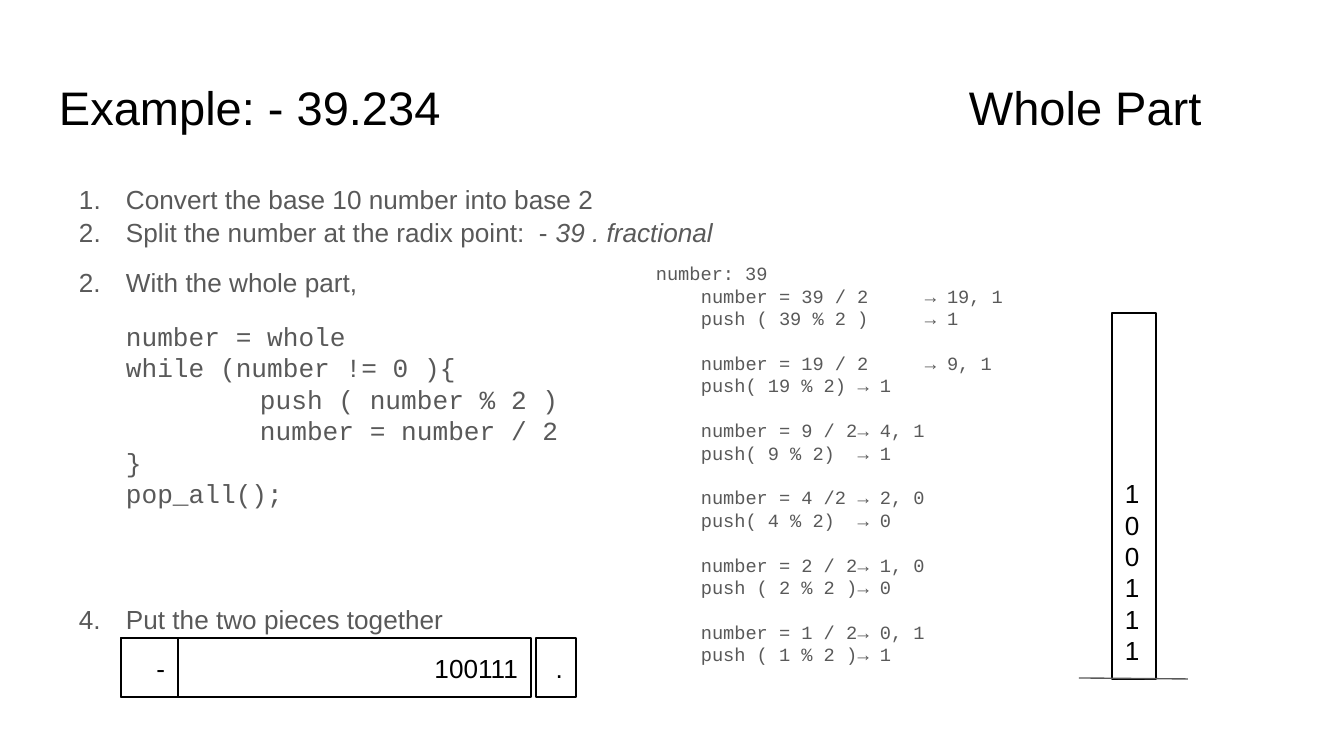
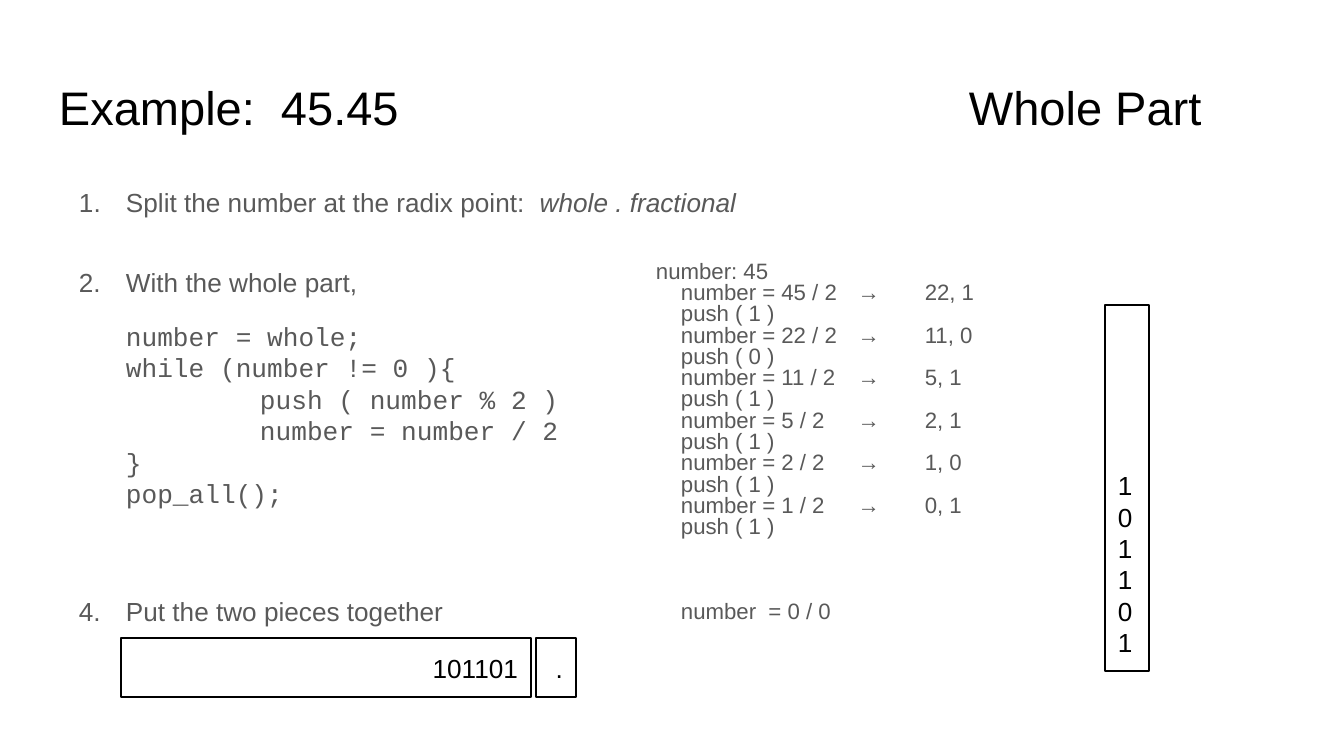
"""Build two worked examples of converting the whole part of a number to binary."""
from lxml import etree
from pptx import Presentation, util as u
from pptx.dml.color import RGBColor
from pptx.enum import shapes, text
from pptx.oxml.ns import qn

BLACK = RGBColor(0x00, 0x00, 0x00)
GREY = RGBColor(0x59, 0x59, 0x59)
SANS, MONO = "Arial", "Courier New"
PX = 914400 / 134.4
INSET = 13
TITLE_SIZE, BODY_SIZE = 25.2, 14
PARAGRAPH_GAP = 12
HANGING, NUMBER_WIDTH, CODE_INDENT = 67, 47, 201

EXAMPLES = [
    {
        "title": "Example: - 39.234\tWhole Part",
        "steps": [("Convert the base 10 number into base 2", ""),
                  ("Split the number at the radix point:  - ", "39 . fractional")],
        "step_spacing": 1.05,
        "finish_top": 589,
        "code": ["number = whole", "while (number != 0 ){", "\tpush ( number % 2 )",
                 "\tnumber = number / 2", "}", "pop_all();"],
        "trace": [
            (0, ["number = 39 / 2\t→ 19, 1", "push ( 39 % 2 )\t→ 1"]),
            (12, ["number = 19 / 2\t→ 9, 1", "push( 19 % 2)\t→ 1"]),
            (12, ["number = 9 / 2\t→ 4, 1", "push( 9 % 2)\t→ 1"]),
            (12, ["number = 4 /2\t→ 2, 0", "push( 4 % 2)\t→ 0"]),
            (12, ["number = 2 / 2\t→ 1, 0", "push ( 2 % 2 )\t→ 0"]),
            (12, ["number = 1 / 2\t→ 0, 1", "push ( 1 % 2 )\t→ 1"]),
        ],
        "trace_start": "number: 39",
        "trace_style": {"size": 10, "font": MONO, "spacing": 1.0},
        "trace_indent": 45,
        "stack_at": (1112, 313),
        "floor": (1188, 679, 1079, 678),
        "bits": "100111",
        "sign": "-",
    },
    {
        "title": "Example:  45.45\tWhole Part",
        "steps": [("Split the number at the radix point:  ", "whole . fractional")],
        "step_spacing": 1.15,
        "finish_top": 578,
        "code": ["number = whole;", "while (number != 0 ){", "\tpush ( number % 2 )",
                 "\tnumber = number / 2", "}", "pop_all();"],
        "trace": [
            (0, ["number = 45 / 2\t→\t22, 1", "push ( 1 )"]),
            (0, ["number = 22 / 2\t→\t11, 0", "push ( 0 )"]),
            (0, ["number = 11 / 2\t→\t5, 1", "push ( 1 )"]),
            (0, ["number = 5 / 2\t→\t2, 1", "push ( 1 )"]),
            (0, ["number = 2 / 2\t→\t1, 0", "push ( 1 )"]),
            (0, ["number = 1 / 2\t→\t0, 1", "push ( 1 )"]),
            (34, ["number  = 0 / 0"]),
        ],
        "trace_start": "number: 45",
        "trace_style": {"size": 11.9, "font": SANS, "spacing": 0.8},
        "trace_indent": 25,
        "stack_at": (1105, 305),
        "floor": None,
        "bits": "101101",
        "sign": None,
    },
]


def px(length):
    return u.Emu(round(length * PX))


def prepare(frame, anchor):
    frame.word_wrap = True
    frame.vertical_anchor = anchor
    frame.margin_left = frame.margin_right = px(INSET)
    frame.margin_top = frame.margin_bottom = px(INSET)


def text_box(slide, *box):
    frame = slide.shapes.add_textbox(*map(px, box)).text_frame
    prepare(frame, text.MSO_ANCHOR.TOP)
    return frame


def style(run, size, font, color):
    run.font.size = u.Pt(size)
    run.font.name = font
    run.font.color.rgb = color


def add_line(frame, words, size=BODY_SIZE, font=SANS, color=GREY, spacing=1.0, gap=0, emphasis=""):
    first = frame.paragraphs[0]
    line = frame.add_paragraph() if first.runs else first
    line.text = words
    if emphasis:
        tail = line.add_run()
        tail.text = emphasis
        tail.font.italic = True
    for run in line.runs:
        style(run, size, font, color)
    line.line_spacing = spacing
    line.space_before = u.Pt(gap)
    return line


def indent(line, margin, first=0):
    properties = line._p.get_or_add_pPr()
    properties.set("marL", str(px(margin)))
    properties.set("indent", str(px(first)))
    return properties


def number(line, start):
    properties = indent(line, HANGING, -NUMBER_WIDTH)
    tint = etree.SubElement(properties, qn("a:buClr"))
    etree.SubElement(tint, qn("a:srgbClr"), val=str(GREY))
    numbering = etree.SubElement(properties, qn("a:buAutoNum"), type="arabicPeriod")
    if start > 1:
        numbering.set("startAt", str(start))


def tab_stops(line, *stops):
    tabs = etree.SubElement(line._p.get_or_add_pPr(), qn("a:tabLst"))
    for stop in stops:
        etree.SubElement(tabs, qn("a:tab"), pos=str(px(stop)), algn="l")


def add_cell(slide, words, box, align):
    cell = slide.shapes.add_shape(shapes.MSO_SHAPE.RECTANGLE, *map(px, box))
    cell.shadow.inherit = False
    cell.fill.background()
    cell.line.color.rgb = BLACK
    cell.line.width = u.Pt(0.75)
    prepare(cell.text_frame, text.MSO_ANCHOR.BOTTOM)
    add_line(cell.text_frame, words, color=BLACK).alignment = align


def add_floor(slide, ends):
    floor = slide.shapes.add_connector(shapes.MSO_CONNECTOR.STRAIGHT, *map(px, ends))
    floor.line.color.rgb = GREY
    floor.line.width = u.Pt(0.75)
    etree.SubElement(floor._element.spPr, qn("a:effectLst"))


def add_steps(slide, example):
    spacing = example["step_spacing"]
    opening = text_box(slide, 46, 169, 1223, 100)
    for words, emphasis in example["steps"]:
        number(add_line(opening, words, spacing=spacing, emphasis=emphasis), 1)
    finish = text_box(slide, 46, example["finish_top"], 587, 60)
    number(add_line(finish, "Put the two pieces together", spacing=spacing), 4)


def add_code(slide, code):
    algorithm = text_box(slide, 46, 249, 587, 300)
    number(add_line(algorithm, "With the whole part,", spacing=1.15), 2)
    for row, words in enumerate(code):
        line = add_line(algorithm, words.strip(), font=MONO, gap=0 if row else PARAGRAPH_GAP)
        indent(line, CODE_INDENT if words.startswith("\t") else HANGING)


def add_trace(slide, example):
    trace = text_box(slide, 643, 249, 450, 430)
    look = example["trace_style"]
    add_line(trace, example["trace_start"], **look)
    for gap, group in example["trace"]:
        for row, words in enumerate(group):
            line = add_line(trace, words, gap=0 if row else gap, **look)
            indent(line, 0, example["trace_indent"])
            tab_stops(line, 269, 304)


def add_result(slide, example):
    bits, right = example["bits"], text.PP_ALIGN.RIGHT
    add_cell(slide, bits, (*example["stack_at"], 44, 366), text.PP_ALIGN.LEFT)
    if example["floor"]:
        add_floor(slide, example["floor"])
    parts = [(bits, 121, 410), (".", 536, 40)]
    if example["sign"]:
        parts.append((example["sign"], 121, 57))
    for words, left, width in parts:
        add_cell(slide, words, (left, 638, width, 59), right)


def main():
    deck = Presentation()
    deck.slide_width, deck.slide_height = px(1344), px(756)
    for example in EXAMPLES:
        slide = deck.slides.add_slide(deck.slide_layouts[6])
        title = add_line(text_box(slide, 46, 66, 1253, 84), example["title"], TITLE_SIZE, color=BLACK)
        tab_stops(title, 910)
        add_steps(slide, example)
        add_code(slide, example["code"])
        add_trace(slide, example)
        add_result(slide, example)
    deck.save("out.pptx")


if __name__ == "__main__":
    main()
